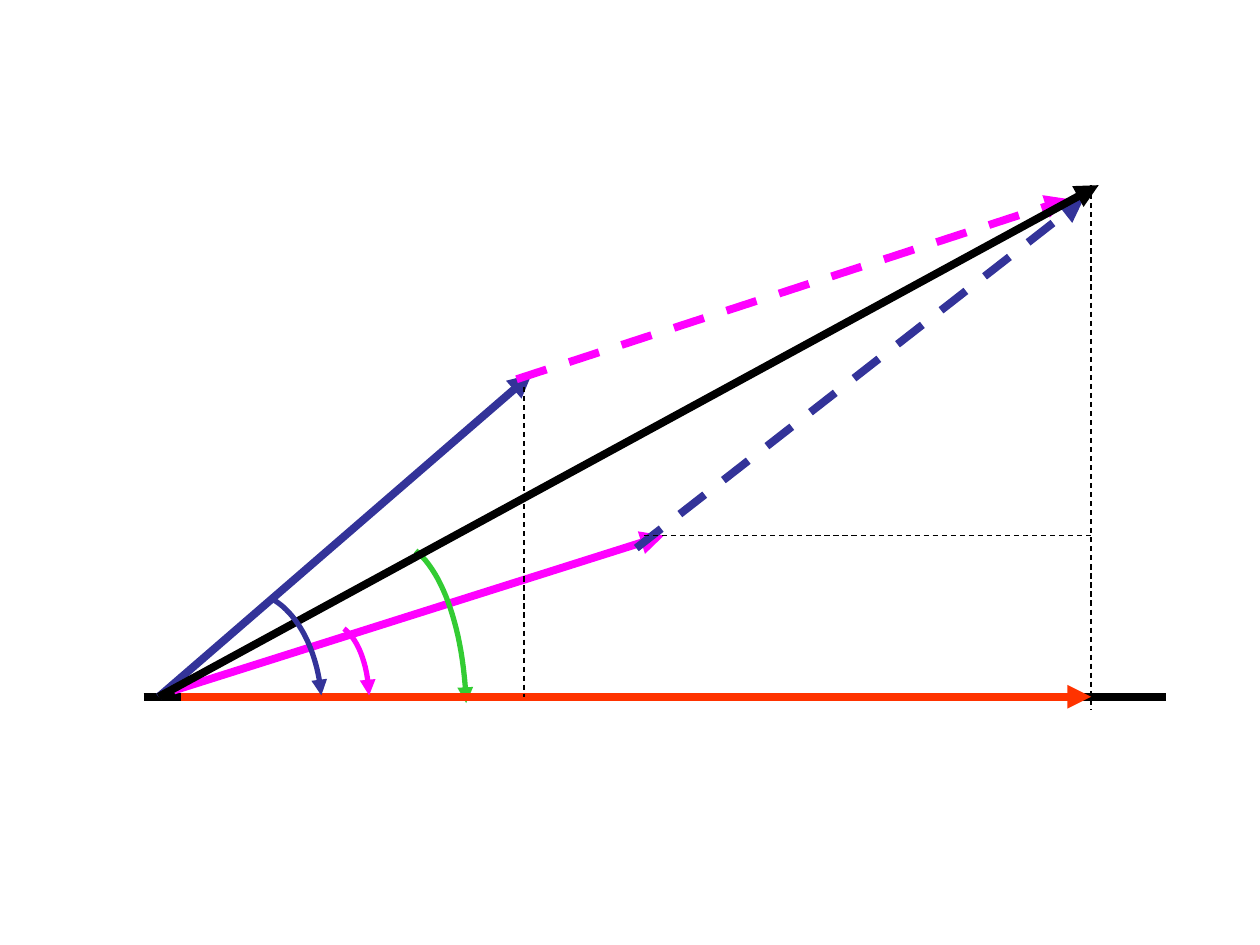
from pptx import Presentation
from pptx.dml.color import RGBColor
from pptx.enum.dml import MSO_LINE
from pptx.enum.shapes import MSO_CONNECTOR
from pptx.oxml.ns import qn
from pptx.util import Inches, Pt
from lxml.etree import SubElement

BLACK, PINK, BLUE = "000000", "FF00FF", "333399"
GREEN, RED = "33CC33", "FF3300"


def color(code):
    return RGBColor.from_string(code)


class Sketch:
    """Holds the slide and draws vectors and angle arcs in one style."""

    def __init__(self, slide, thick=4.5, thin=0.75, curve=3):
        self.slide = slide
        self.thick, self.thin, self.curve = thick, thin, curve

    def stroke(self, shape, tint, width, dash=False, arrow=False):
        line = shape.line
        line.color.rgb = color(tint)
        line.width = Pt(width)
        if dash:
            line.dash_style = MSO_LINE.DASH
        if arrow:
            edge = shape._element.spPr.find(qn("a:ln"))
            SubElement(edge, qn("a:tailEnd"), type="triangle")

    def line(self, start, end, tint, width, dash=False, arrow=False):
        ends = [Inches(value) for value in (*start, *end)]
        link = self.slide.shapes.add_connector(MSO_CONNECTOR.STRAIGHT, *ends)
        self.stroke(link, tint, width, dash, arrow)
        SubElement(link._element.spPr, qn("a:effectLst"))

    def vector(self, start, end, tint, dash=False):
        self.line(start, end, tint, self.thick, dash, arrow=True)

    def guide(self, start, end):
        self.line(start, end, BLACK, self.thin, dash=True)

    def arc(self, knots, tint, steps=24):
        points = []
        for step in range(steps + 1):
            t = step / steps
            u = 1 - t
            parts = (u ** 3, 3 * u * u * t, 3 * u * t * t, t ** 3)
            points.append(tuple(
                Inches(sum(part * value for part, value in zip(parts, axis)))
                for axis in zip(*knots)))
        pen = self.slide.shapes.build_freeform(*points[0])
        pen.add_line_segments(points[1:], close=False)
        shape = pen.convert_to_shape()
        shape.shadow.inherit = False
        shape.fill.background()
        self.stroke(shape, tint, self.curve, arrow=True)


def main():
    deck = Presentation()
    deck.slide_width, deck.slide_height = Inches(10), Inches(7.5)
    sketch = Sketch(deck.slides.add_slide(deck.slide_layouts[6]))
    base, right = 5.53, 8.66
    root = (1.26, base)

    sketch.line((1.14, base), (9.25, base), BLACK, sketch.thick)
    sketch.vector((1.38, 5.48), (5.27, 4.25), PINK)
    sketch.vector(root, (4.22, 2.97), BLUE)
    sketch.arc([(3.3, 4.37), (3.52, 4.55), (3.68, 5.01), (3.7, 5.58)], GREEN)
    sketch.vector((4.1, 3.01), (8.48, 1.58), PINK, dash=True)
    sketch.vector((5.05, 4.35), (8.6, 1.58), BLUE, dash=True)
    sketch.vector(root, (8.72, 1.47), BLACK)
    sketch.guide((right, 1.47), (right, 5.63))
    sketch.vector((1.44, base), (right, base), RED)
    sketch.guide((4.16, 3.07), (4.16, base))
    sketch.guide((5.11, 4.25), (right, 4.25))
    sketch.arc([(2.73, 4.99), (2.84, 5.07), (2.92, 5.27), (2.93, 5.52)], PINK)
    sketch.arc([(2.17, 4.76), (2.37, 4.88), (2.52, 5.17), (2.55, 5.52)], BLUE)
    deck.save("out.pptx")


if __name__ == "__main__":
    main()
